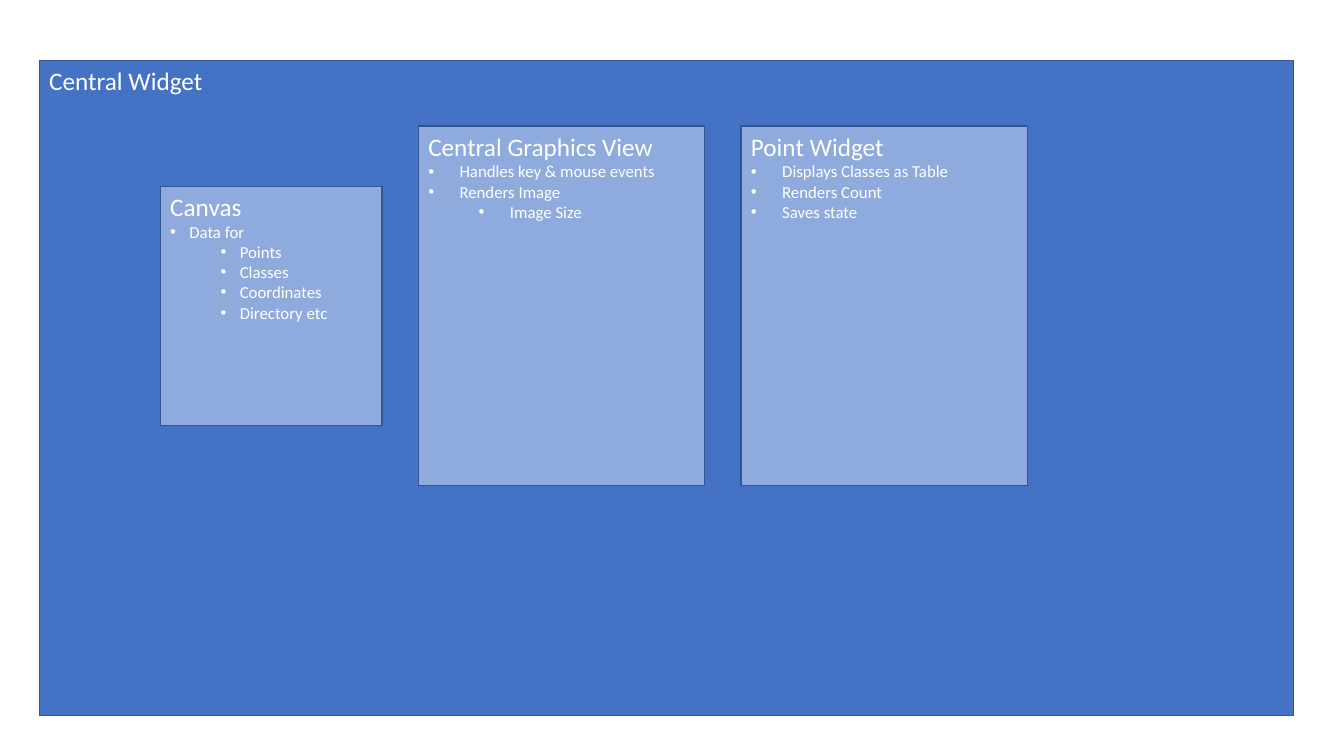
from lxml import etree
from pptx import Presentation
from pptx.dml.color import RGBColor
from pptx.enum.shapes import MSO_SHAPE
from pptx.enum.text import MSO_ANCHOR, PP_ALIGN
from pptx.oxml.ns import qn
from pptx.util import Inches, Pt

RECTANGLE = MSO_SHAPE.RECTANGLE
TOP = MSO_ANCHOR.TOP
LEFT = PP_ALIGN.LEFT

COLORS = {"central": "4472C4", "widget": "8FAADC", "line": "325491", "text": "FFFFFF"}
FONT = "Calibri"
HEADING_SIZE = 18
BULLET_SIZE = 12
LEVEL_STEP = 0.5

WIDGETS = [
    {"heading": "Central Widget", "at": (0.39, 0.6, 12.44, 6.5), "fill": "central",
     "indent": 0, "bullets": []},
    {"heading": "Point Widget", "at": (7.35, 1.25, 2.84, 3.57), "fill": "widget",
     "indent": 0.31,
     "bullets": [(0, "Displays Classes as Table"), (0, "Renders Count"), (0, "Saves state")]},
    {"heading": "Central Graphics View", "at": (4.15, 1.25, 2.84, 3.57), "fill": "widget",
     "indent": 0.31,
     "bullets": [(0, "Handles key & mouse events"), (0, "Renders Image"), (1, "Image Size")]},
    {"heading": "Canvas", "at": (1.59, 1.85, 2.2, 2.37), "fill": "widget",
     "indent": 0.19,
     "bullets": [(0, "Data for"), (1, "Points"), (1, "Classes"), (1, "Coordinates"),
                 (1, "Directory etc")]},
]


def color(key):
    return RGBColor.from_string(COLORS[key])


def write(para, text, size):
    para.text = text
    para.alignment = LEFT
    for span in para.runs:
        span.font.name = FONT
        span.font.size = Pt(size)
        span.font.color.rgb = color("text")


def add_bullet(para, level, indent):
    para.level = level
    properties = para._p.get_or_add_pPr()
    properties.set("marL", str(Inches(indent + level * LEVEL_STEP)))
    properties.set("indent", str(-Inches(indent)))
    etree.SubElement(properties, qn("a:buFont"), typeface="Arial")
    etree.SubElement(properties, qn("a:buChar"), char="•")


def add_widget(page, widget):
    box = page.shapes.add_shape(RECTANGLE, *map(Inches, widget["at"]))
    box.shadow.inherit = False
    box.fill.solid()
    box.fill.fore_color.rgb = color(widget["fill"])
    box.line.color.rgb = color("line")
    box.line.width = Pt(1)
    frame = box.text_frame
    frame.word_wrap = True
    frame.vertical_anchor = TOP
    write(frame.paragraphs[0], widget["heading"], HEADING_SIZE)
    for level, text in widget["bullets"]:
        para = frame.add_paragraph()
        write(para, text, BULLET_SIZE)
        add_bullet(para, level, widget["indent"])


def main():
    deck = Presentation()
    deck.slide_width = Inches(13.33)
    deck.slide_height = Inches(7.5)
    page = deck.slides.add_slide(deck.slide_layouts.get_by_name("Blank"))
    for widget in WIDGETS:
        add_widget(page, widget)
    deck.save("out.pptx")


if __name__ == "__main__":
    main()
